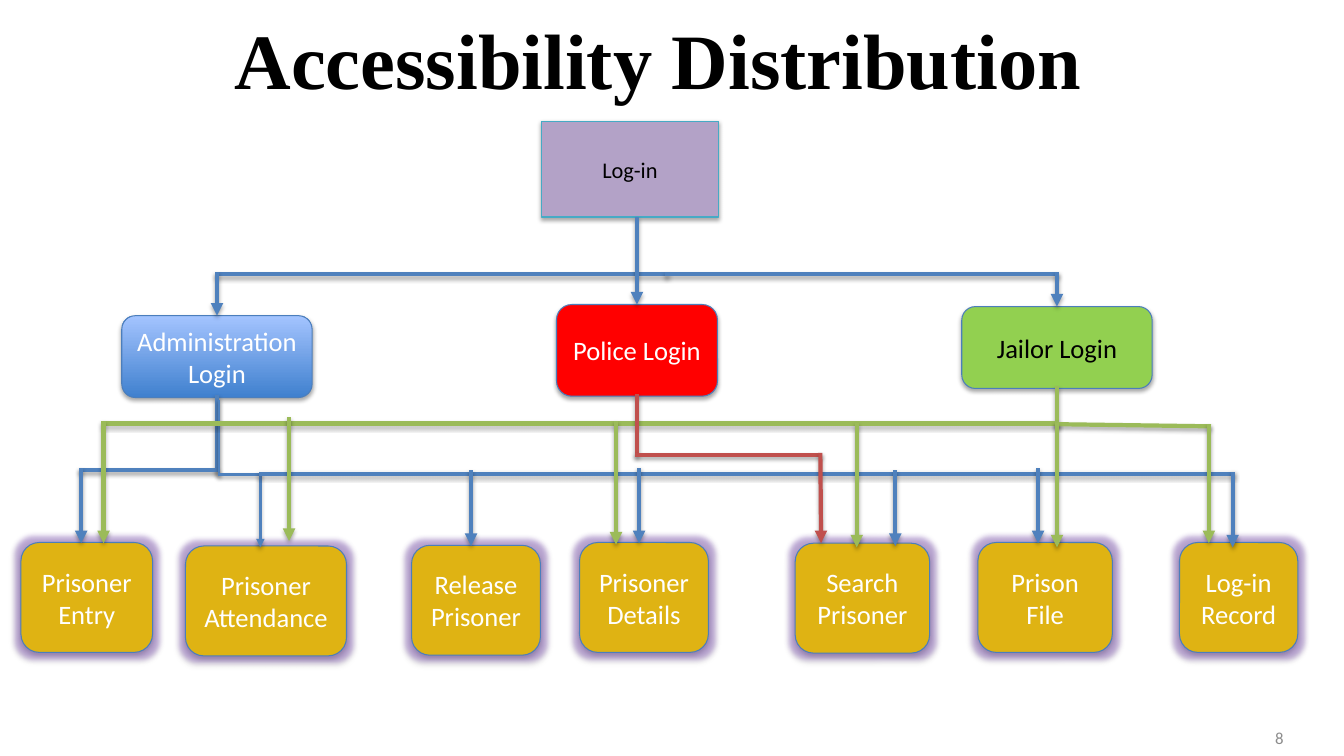
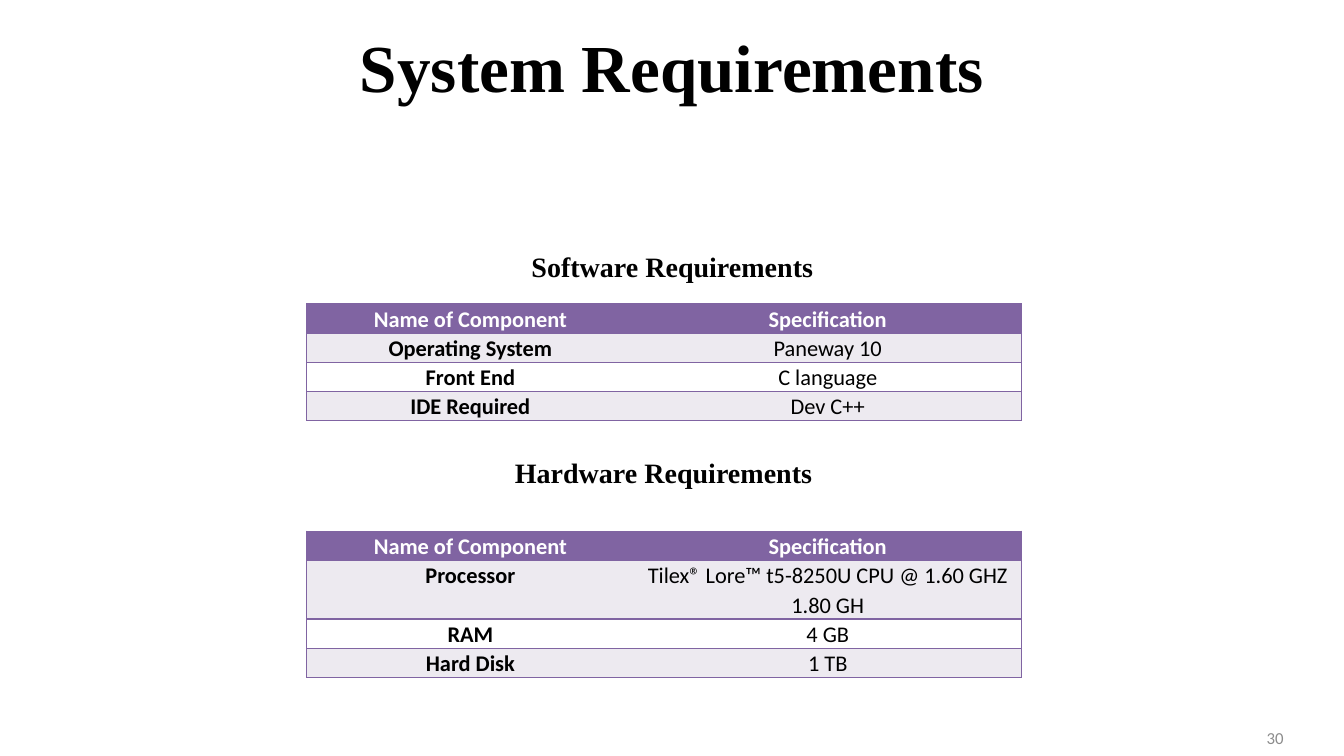
from lxml import etree
from pptx import Presentation
from pptx.dml.color import RGBColor
from pptx.enum.shapes import MSO_CONNECTOR, MSO_SHAPE
from pptx.enum.text import MSO_ANCHOR, PP_ALIGN
from pptx.oxml.ns import qn
from pptx.util import Pt

RECTANGLE, ROUNDED = MSO_SHAPE.RECTANGLE, MSO_SHAPE.ROUNDED_RECTANGLE
STRAIGHT = MSO_CONNECTOR.STRAIGHT
LEFT, CENTER, RIGHT = PP_ALIGN.LEFT, PP_ALIGN.CENTER, PP_ALIGN.RIGHT
TOP, MIDDLE = MSO_ANCHOR.TOP, MSO_ANCHOR.MIDDLE
TOP_SIDE, BOTTOM_SIDE = 0, 2

# Shared colours and text styles
BLACK, WHITE, GREY = "000000", "FFFFFF", "8C8C8C"
BLUE, GREEN, RED, PURPLE = "4F81BD", "9BBB59", "C0504D", "8064A2"
GOLD, BAND, OUTLINE, GLOW = "DFB313", "EDEAF0", "4B7EBC", "7E4DB9"
ADMIN_GRADIENT = ("3F80CE", "A4C4FF")
HEADING = {"name": "Times New Roman", "bold": True, "color": BLACK}
BODY = {"name": "Calibri", "bold": False, "color": BLACK}

# Login boxes: name, shape, place, fill, outline, text colour, text size
LOGINS = [
    ("Log-in", RECTANGLE, (386.5, 86.5, 127, 68.5), "B3A2C7", "46AAC5", BLACK, 16),
    ("Administration Login", ROUNDED, (87, 225.5, 136, 58.5), ADMIN_GRADIENT, OUTLINE, WHITE, 19),
    ("Police Login", ROUNDED, (397.5, 217.5, 115, 65.5), "FF0000", OUTLINE, WHITE, 19),
    ("Jailor Login", ROUNDED, (687, 219, 136, 58.5), "92D050", OUTLINE, BLACK, 19),
]

# Functions: name, left, top, width
FUNCTION_HEIGHT = 78.5
FUNCTIONS = [
    ("Prisoner Entry", 15, 387.5, 94),
    ("Prisoner Attendance", 132.5, 390, 115),
    ("Release Prisoner", 294, 389.5, 92),
    ("Prisoner Details", 414, 387.5, 92),
    ("Search Prisoner", 568, 388, 96),
    ("Prison File", 698.5, 387.5, 96),
    ("Log-in Record", 842.5, 387.5, 84.5),
]

# Routes: colour, width, has arrow, stops (a name means the middle of a box side)
ROUTES = [
    (BLUE, 3, True, [(476.5, 196), (155, 196), "Administration Login"]),
    (BLUE, 3, True, [(455, 156.5), "Police Login"]),
    (BLUE, 3, True, [(476.5, 196), (755, 196), "Jailor Login"]),
    (BLUE, 3, True, ["Administration Login", (155, 336), (58, 336), (58, 388)]),
    (BLUE, 2, True, [(156.5, 286.5), (156.5, 339), (186, 339), (186, 391)]),
    (BLUE, 3, True, [(186.5, 338.5), (880.5, 338.5), (880.5, 391)]),
    (GREEN, 3, True, ["Jailor Login", (755, 302.5), (74, 302.5), (74, 388)]),
    (GREEN, 3, True, [(755, 303), (863.5, 304.5), (863.5, 388)]),
    (RED, 3, True, ["Police Login", (455, 325), (586, 325), (586.5, 388)]),
]
# Single drops: colour, x, top, bottom
DROPS = [
    (BLUE, 336.5, 337.5, 390),
    (BLUE, 456.5, 335.5, 388),
    (BLUE, 639.5, 337.5, 390),
    (BLUE, 741.5, 336, 388),
    (GREEN, 206.5, 299.5, 386.5),
    (GREEN, 440, 302.5, 389),
    (GREEN, 612, 304, 391),
    (GREEN, 755, 304, 391),
]
ROUTES += [(colour, 3, True, [(x, top), (x, bottom)]) for colour, x, top, bottom in DROPS]

# Requirement tables: heading, heading place, table top, rows
TABLE_LEFT, COLUMN_WIDTHS, LINE_HEIGHT = 219, (234, 276.5), 20.9
HEADER = ("Name of Component", "Specification")
TABLES = [
    ("Software Requirements", (371.5, 174, 217.5, 32), 217, [
        HEADER,
        ("Operating System", "Paneway 10"),
        ("Front End", "C language"),
        ("IDE Required", "Dev C++"),
    ]),
    ("Hardware Requirements", (360, 321.5, 228, 32), 379.5, [
        HEADER,
        ("Processor", "Tilex® Lore™ t5-8250U CPU @ 1.60 GHZ 1.80 GH"),
        ("RAM", "4 GB"),
        ("Hard Disk", "1 TB"),
    ]),
]
TWO_LINE_ROWS = {"Processor"}


def rgb(value):
    return RGBColor.from_string(value)


def points(values):
    return [Pt(value) for value in values]


def write(frame, text, style, size, align):
    paragraph = frame.paragraphs[0]
    paragraph.text = text
    paragraph.alignment = align
    for name, value in {**style, "size": Pt(size)}.items():
        if name == "color":
            paragraph.font.color.rgb = rgb(value)
        else:
            setattr(paragraph.font, name, value)
    return paragraph


def add_text(slide, place, text, style, size, align=CENTER, anchor=MIDDLE, wrap=True):
    frame = slide.shapes.add_textbox(*points(place)).text_frame
    frame.word_wrap = wrap
    frame.vertical_anchor = anchor
    write(frame, text, style, size, align)


def add_slide(presentation, title, place, size, align, anchor, number):
    slide = presentation.slides.add_slide(presentation.slide_layouts[6])
    add_text(slide, place, title, HEADING, size, align, anchor)
    add_text(slide, (700, 512.5, 224, 29), number, {**BODY, "color": GREY}, 12, RIGHT)
    return slide


def add_element(parent, tag, **attributes):
    return etree.SubElement(parent, qn(tag), attributes)


def add_effects(properties, glow=False):
    """Soft shadow below, with an optional purple glow around."""
    effects = properties.find(qn("a:effectLst"))
    if effects is None:
        effects = add_element(properties, "a:effectLst")
    if glow:
        halo = add_element(effects, "a:glow", rad=str(Pt(8)))
        colour = add_element(halo, "a:srgbClr", val=GLOW)
        add_element(colour, "a:alpha", val="40000")
    shadow = add_element(effects, "a:outerShdw", blurRad=str(Pt(3.1)), dist=str(Pt(1.8)),
                         dir="5400000", rotWithShape="0")
    colour = add_element(shadow, "a:srgbClr", val=BLACK)
    add_element(colour, "a:alpha", val="35000")


def add_box(slide, text, kind, place, fill, outline, colour, size, glow=False):
    shape = slide.shapes.add_shape(kind, *points(place))
    if isinstance(fill, tuple):
        shape.fill.gradient()
        shape.fill.gradient_angle = 90
        for stop, value in zip(shape.fill.gradient_stops, fill):
            stop.color.rgb = rgb(value)
    else:
        shape.fill.solid()
        shape.fill.fore_color.rgb = rgb(fill)
    shape.line.color.rgb = rgb(outline)
    shape.line.width = Pt(0.75)
    shape.shadow.inherit = False
    add_effects(shape._element.spPr, glow)
    shape.text_frame.word_wrap = True
    shape.text_frame.vertical_anchor = MIDDLE
    write(shape.text_frame, text, {**BODY, "color": colour}, size, CENTER)
    return shape


def add_route(slide, boxes, colour, width, has_arrow, stops):
    segments = list(zip(stops, stops[1:]))
    for index, (start, end) in enumerate(segments):
        ends = [(0, 0) if stop in boxes else stop for stop in (start, end)]
        connector = slide.shapes.add_connector(STRAIGHT, *points(ends[0] + ends[1]))
        if start in boxes:
            connector.begin_connect(boxes[start], BOTTOM_SIDE)
        if end in boxes:
            connector.end_connect(boxes[end], TOP_SIDE)
        connector.line.color.rgb = rgb(colour)
        connector.line.width = Pt(width)
        properties = connector._element.spPr
        line = properties.find(qn("a:ln"))
        line.set("cap", "sq")
        if has_arrow and index == len(segments) - 1:
            add_element(line, "a:tailEnd", type="triangle")
        add_effects(properties)


def set_borders(cell, sides):
    """Purple lines on the given sides, none on the others."""
    properties = cell._tc.get_or_add_tcPr()
    for index, side in enumerate("LRTB"):
        line = etree.Element(qn("a:ln" + side), w=str(Pt(1)))
        if side in sides:
            fill = add_element(line, "a:solidFill")
            add_element(fill, "a:srgbClr", val=PURPLE)
        else:
            add_element(line, "a:noFill")
        properties.insert(index, line)


def add_requirements(slide, top, rows):
    heights = [LINE_HEIGHT * (2 if row[0] in TWO_LINE_ROWS else 1) for row in rows]
    place = points((TABLE_LEFT, top, sum(COLUMN_WIDTHS), sum(heights)))
    table = slide.shapes.add_table(len(rows), len(COLUMN_WIDTHS), *place).table
    for column, width in zip(table.columns, COLUMN_WIDTHS):
        column.width = Pt(width)
    for row_index, (values, height) in enumerate(zip(rows, heights)):
        table.rows[row_index].height = Pt(height)
        is_header = row_index == 0
        fill = PURPLE if is_header else (BAND if row_index % 2 else WHITE)
        for column_index, text in enumerate(values):
            cell = table.cell(row_index, column_index)
            cell.margin_left = cell.margin_right = Pt(5)
            cell.margin_top = cell.margin_bottom = 0
            cell.fill.solid()
            cell.fill.fore_color.rgb = rgb(fill)
            set_borders(cell, "TB" + "LR"[column_index])
            style = {**BODY, "bold": is_header or column_index == 0,
                     "color": WHITE if is_header else BLACK}
            write(cell.text_frame, text, style, 16, CENTER).line_spacing = 1.07


def main():
    presentation = Presentation()
    presentation.slide_width, presentation.slide_height = Pt(960), Pt(540)

    # Access chart
    slide = add_slide(presentation, "Accessibility Distribution", (160.5, 4.5, 852.5, 75),
                      56, LEFT, TOP, "8")
    boxes = {login[0]: add_box(slide, *login) for login in LOGINS}
    for name, left, top, width in FUNCTIONS:
        place = (left, top, width, FUNCTION_HEIGHT)
        add_box(slide, name, ROUNDED, place, GOLD, OUTLINE, WHITE, 19, glow=True)
    for route in ROUTES:
        add_route(slide, boxes, *route)

    # Requirement tables
    slide = add_slide(presentation, "System Requirements", (0, 24.5, 960, 44.5),
                      48, CENTER, MIDDLE, "30")
    for heading, place, top, rows in TABLES:
        add_text(slide, place, heading, HEADING, 20, wrap=False)
        add_requirements(slide, top, rows)

    presentation.save("out.pptx")


if __name__ == "__main__":
    main()
